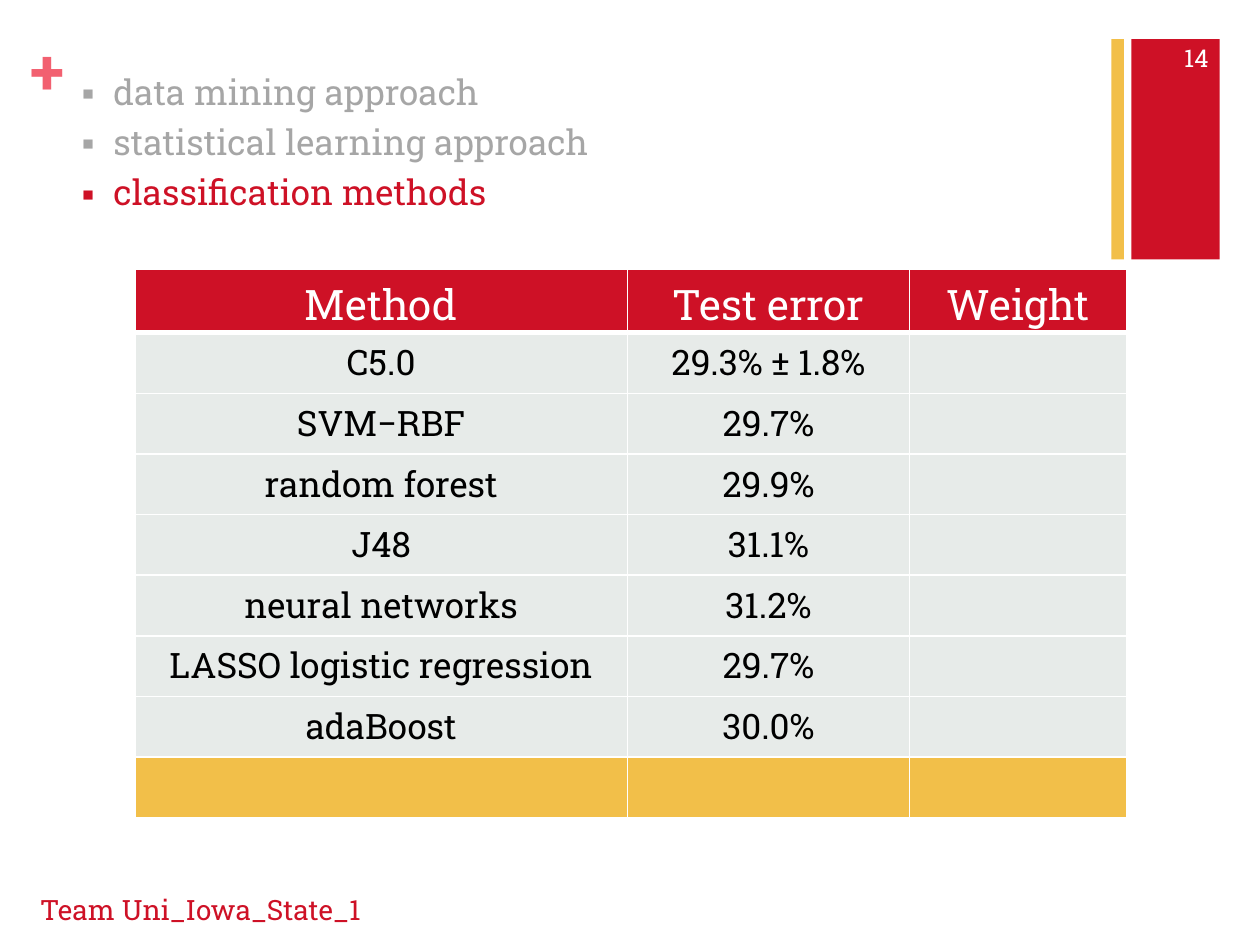
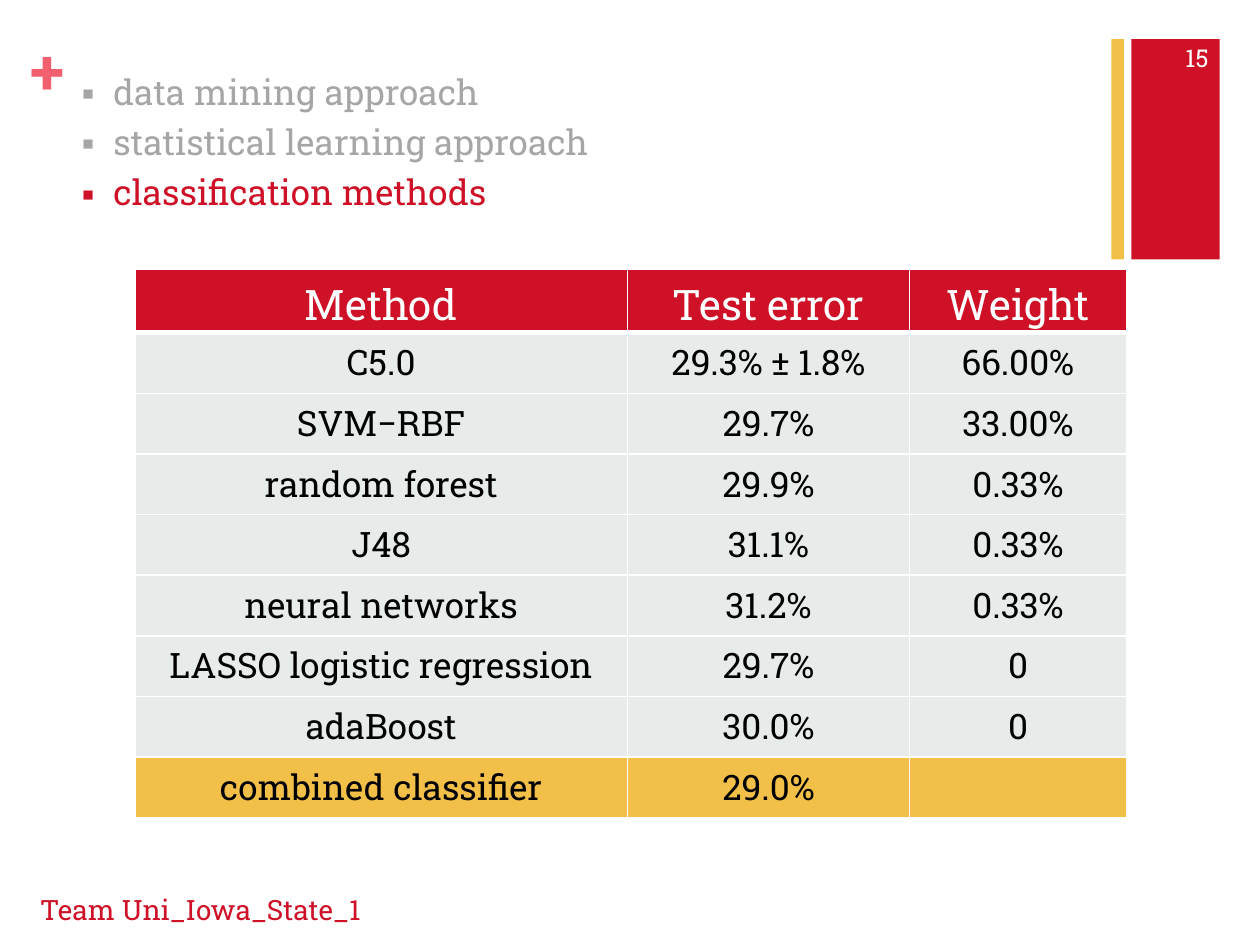
from lxml.etree import SubElement
from pptx import Presentation
from pptx.dml.color import RGBColor
from pptx.enum.shapes import MSO_SHAPE
from pptx.enum.text import MSO_ANCHOR, MSO_AUTO_SIZE, PP_ALIGN
from pptx.oxml.ns import qn
from pptx.util import Inches, Pt

FONT = "Roboto Slab"
COLORS = {
    "red": "CE1126",
    "gold": "F2BF49",
    "plus": "F26070",
    "muted": "A6A6A6",
    "row": "E7EBE9",
    "white": "FFFFFF",
    "black": "000000",
}
APPROACHES = ["data mining approach", "statistical learning approach", "classification methods"]
HEADERS = ["Method", "Test error", "Weight"]
COL_SHARES = [3.91, 2.24, 1.72]
RESULTS = [
    ("C5.0", "29.3% ± 1.8%"),
    ("SVM−RBF", "29.7%"),
    ("random forest", "29.9%"),
    ("J48", "31.1%"),
    ("neural networks", "31.2%"),
    ("LASSO logistic regression", "29.7%"),
    ("adaBoost", "30.0%"),
]
WEIGHTS = ["66.00%", "33.00%", "0.33%", "0.33%", "0.33%", "0", "0"]


def rgb(name):
    return RGBColor.from_string(COLORS[name])


def inches(box):
    return [Inches(v) for v in box]


def style(p, size, color, bold=False):
    for r in p.runs:
        r.font.name = FONT
        r.font.size = Pt(size)
        r.font.bold = bold
        r.font.color.rgb = rgb(color)


def add_label(s, box, text, size, color, align=PP_ALIGN.LEFT, bold=False):
    tf = s.shapes.add_textbox(*inches(box)).text_frame
    tf.word_wrap = True
    tf.vertical_anchor = MSO_ANCHOR.MIDDLE
    tf.text = text
    p = tf.paragraphs[0]
    p.alignment = align
    style(p, size, color, bold)
    return tf


def add_band(s, box, color):
    sp = s.shapes.add_shape(MSO_SHAPE.RECTANGLE, *inches(box))
    sp.shadow.inherit = False
    sp.fill.solid()
    sp.fill.fore_color.rgb = rgb(color)
    sp.line.fill.background()


def add_corner(s, box, number):
    x, y, w, h = box
    gold_w, red_w = 0.1, 0.7
    add_band(s, (x + w - red_w, y, red_w, h), "red")
    add_band(s, (x, y, gold_w, h), "gold")
    add_label(s, (x + w - 0.6, y - 0.05, 0.61, 0.4), str(number), 14, "white", PP_ALIGN.RIGHT)


def add_plus(s, box):
    tf = add_label(s, box, "+", 36, "plus", bold=True)
    tf.vertical_anchor = MSO_ANCHOR.TOP
    tf.margin_left = tf.margin_right = tf.margin_top = tf.margin_bottom = 0


def set_bullet(p):
    pPr = p._p.get_or_add_pPr()
    pPr.set("marL", str(Inches(0.25)))
    pPr.set("indent", str(Inches(-0.25)))
    SubElement(pPr, qn("a:buSzPct"), val="90000")
    SubElement(pPr, qn("a:buFont"), typeface=FONT)
    SubElement(pPr, qn("a:buChar"), char="▪")


def fill_agenda(s, box, current):
    sp = s.placeholders[1]
    sp.left, sp.top, sp.width, sp.height = inches(box)
    tf = sp.text_frame
    tf.auto_size = MSO_AUTO_SIZE.NONE
    tf.text = "\n".join(APPROACHES)
    for p in tf.paragraphs:
        p.line_spacing = 1.2
        p.space_before = Pt(0)
        set_bullet(p)
        style(p, 20, "red" if p.text == current else "muted")


def set_borders(cell, bottom):
    tcPr = cell._tc.get_or_add_tcPr()
    for side, width in (("L", 1), ("R", 1), ("T", 1), ("B", bottom)):
        ln = SubElement(tcPr, qn(f"a:ln{side}"), w=str(Pt(width)))
        fill = SubElement(ln, qn("a:solidFill"))
        SubElement(fill, qn("a:srgbClr"), val=COLORS["white"])


def add_results(s, box, rows):
    x, y, w, h = box
    tbl = s.shapes.add_table(len(rows), len(HEADERS), *inches(box)).table
    for col, share in zip(tbl.columns, COL_SHARES):
        col.width = Inches(w * share / sum(COL_SHARES))
    for i, values in enumerate(rows):
        tbl.rows[i].height = Inches(h / len(rows))
        header = i == 0
        fill = "red" if header else "gold" if i == len(rows) - 1 else "row"
        for cell, value in zip(tbl.rows[i].cells, values):
            set_borders(cell, 3 if header else 1)
            cell.fill.solid()
            cell.fill.fore_color.rgb = rgb(fill)
            cell.text = value
            p = cell.text_frame.paragraphs[0]
            p.alignment = PP_ALIGN.CENTER
            style(p, 24 if header else 20, "white" if header else "black")


def add_results_slide(prs, number, weights, combined):
    s = prs.slides.add_slide(prs.slide_layouts[1])
    title = s.shapes.title._element
    title.getparent().remove(title)
    add_corner(s, (8.82, 0.31, 0.86, 1.75), number)
    add_plus(s, (0.24, 0.25, 0.29, 0.61))
    add_label(s, (0.22, 7.02, 6.7, 0.4), "Team Uni_Iowa_State_1", 16, "red")
    fill_agenda(s, (0.55, 0.44, 9.01, 1.48), "classification methods")
    body = [(*result, weight) for result, weight in zip(RESULTS, weights)]
    add_results(s, (1.07, 2.14, 7.87, 4.33), [HEADERS, *body, combined])


def main():
    prs = Presentation()
    prs.slide_width, prs.slide_height = Inches(10), Inches(7.5)
    add_results_slide(prs, 14, [""] * len(RESULTS), ("", "", ""))
    add_results_slide(prs, 15, WEIGHTS, ("combined classifier", "29.0%", ""))
    prs.save("out.pptx")


if __name__ == "__main__":
    main()
